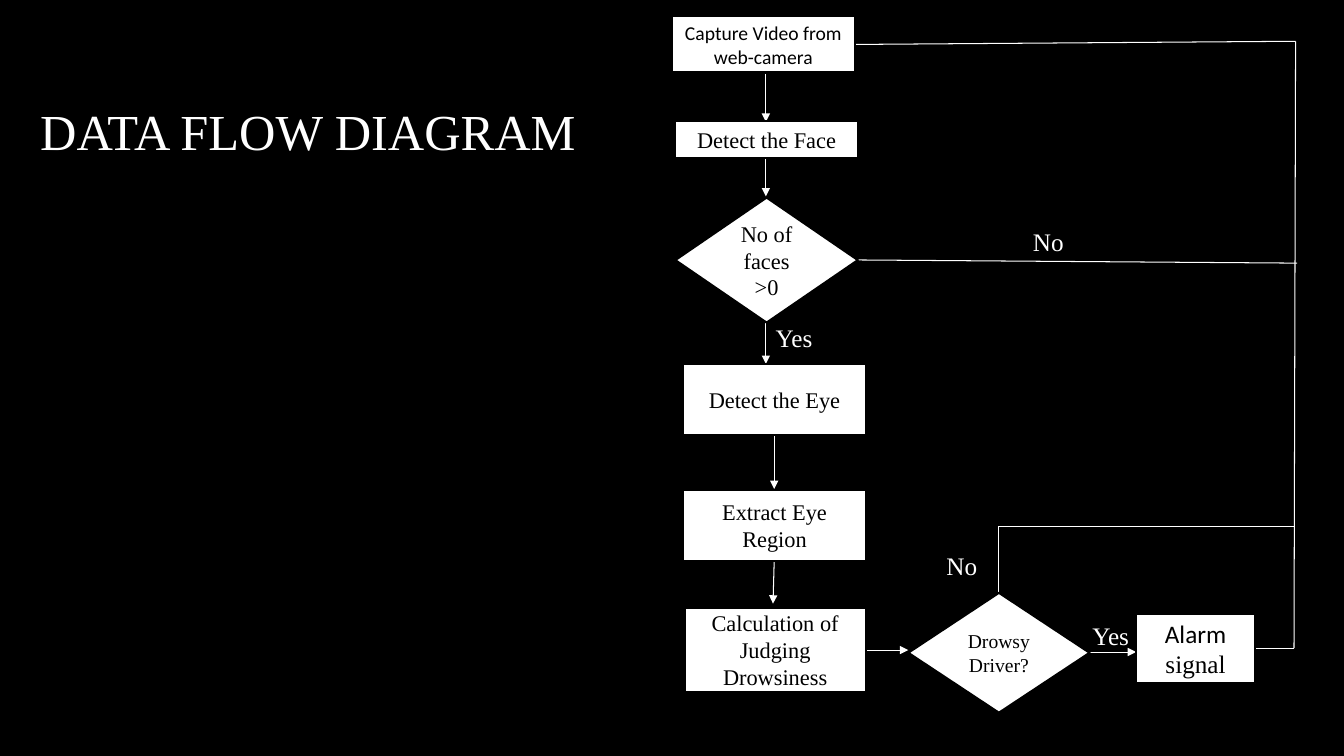
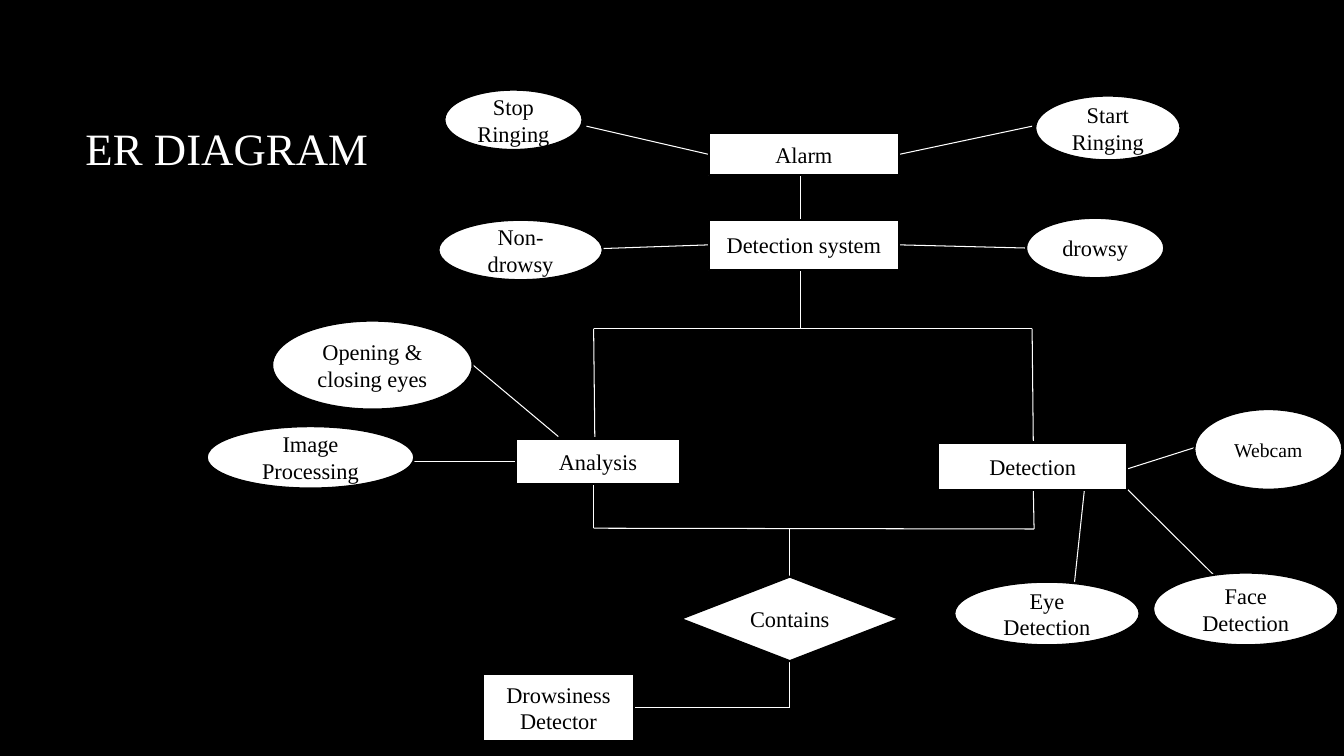
from itertools import pairwise

from lxml.etree import SubElement
from pptx import Presentation
from pptx.dml.color import RGBColor
from pptx.enum.shapes import MSO_CONNECTOR, MSO_SHAPE
from pptx.enum.text import MSO_ANCHOR, MSO_AUTO_SIZE, PP_ALIGN
from pptx.oxml.ns import qn
from pptx.util import Cm, Pt

RECTANGLE = MSO_SHAPE.RECTANGLE
DIAMOND = MSO_SHAPE.DIAMOND
DECISION = MSO_SHAPE.FLOWCHART_DECISION
ELLIPSE = MSO_SHAPE.OVAL

BLACK = "000000"
WHITE = "FFFFFF"
SERIF = "Times New Roman"
SANS = "Calibri"


def set_solid(fill, color):
    fill.solid()
    fill.fore_color.rgb = RGBColor.from_string(color)


def add_run(paragraph, text, *, size, color, font=SERIF):
    run = paragraph.add_run()
    run.text = text
    run.font.name = font
    run.font.size = Pt(size)
    set_solid(run.font.fill, color)


def write_text(frame, text, *, align=PP_ALIGN.LEFT, space_after=0, **run_format):
    """Fill a text frame, one paragraph for each line of the text."""
    frame.word_wrap = True
    frame.auto_size = MSO_AUTO_SIZE.NONE
    frame.vertical_anchor = MSO_ANCHOR.MIDDLE
    for index, line in enumerate(text.split("\n")):
        paragraph = frame.add_paragraph() if index else frame.paragraphs[0]
        paragraph.alignment = align
        paragraph.space_after = Pt(space_after)
        add_run(paragraph, line, **run_format)


class DiagramDeck:
    """White diagrams on black slides; positions and sizes are in centimetres."""

    def __init__(self):
        self.presentation = Presentation()
        self.presentation.slide_width = Cm(33.87)
        self.presentation.slide_height = Cm(19.05)
        set_solid(self.presentation.slide_master.background.fill, BLACK)
        self.slide = None

    def add_slide(self, title, left, top, size):
        title_only = self.presentation.slide_layouts[5]
        self.slide = self.presentation.slides.add_slide(title_only)
        shape = self.slide.shapes.title
        shape.left, shape.top = Cm(left), Cm(top)
        shape.width, shape.height = Cm(28.14), Cm(4.04)
        write_text(shape.text_frame, title, size=size, color=WHITE)

    def add_node(self, kind, text, left, top, width, height, size=16, font=SERIF):
        shape = self.slide.shapes.add_shape(
            kind, Cm(left), Cm(top), Cm(width), Cm(height))
        shape.shadow.inherit = False
        set_solid(shape.fill, WHITE)
        set_solid(shape.line.fill, BLACK)
        shape.line.width = Pt(1.5)
        write_text(shape.text_frame, text, align=PP_ALIGN.CENTER,
                   size=size, color=BLACK, font=font)
        return shape

    def add_label(self, text, left, top, width=2.62, height=1.6):
        box = self.slide.shapes.add_textbox(
            Cm(left), Cm(top), Cm(width), Cm(height))
        write_text(box.text_frame, text, space_after=10, size=18, color=WHITE)

    def add_lines(self, *points, arrow=False):
        """Join successive points with straight connectors."""
        for start, end in pairwise(points):
            connector = self.slide.shapes.add_connector(
                MSO_CONNECTOR.STRAIGHT, *map(Cm, start + end))
            set_solid(connector.line.fill, WHITE)
            connector.line.width = Pt(0.75)
            properties = connector._element.spPr
            if arrow:
                SubElement(properties.find(qn("a:ln")), qn("a:tailEnd"),
                           type="triangle")
            SubElement(properties, qn("a:effectLst"))


def build_data_flow(deck):
    deck.add_slide("DATA FLOW DIAGRAM", 0.76, 1.27, size=36)

    for start, end in (
        ((19.3, 1.85), (19.3, 3.07)),
        ((19.3, 3.84), (19.3, 4.95)),
        ((19.3, 8.13), (19.3, 9.17)),
        ((19.51, 10.97), (19.51, 12.32)),
        ((19.51, 14.15), (19.48, 15.21)),
        ((21.79, 16.38), (22.89, 16.38)),
        ((27.46, 16.43), (28.63, 16.43)),
    ):
        deck.add_lines(start, end, arrow=True)

    # Every branch returns to the camera along the right-hand side.
    deck.add_lines((31.65, 16.33), (32.61, 16.33), (32.65, 1.04), (21.51, 1.12))
    deck.add_lines((21.56, 6.55), (32.69, 6.63))
    deck.add_lines((25.17, 14.94), (25.17, 13.26), (32.61, 13.26))

    deck.add_node(RECTANGLE, "Capture Video from web-camera",
                  16.94, 0.41, 4.6, 1.42, size=14, font=SANS)
    for node in (
        (RECTANGLE, "Detect the Face", 17.02, 3.05, 4.6, 0.94),
        (DIAMOND, "No of faces\n>0", 17.02, 4.98, 4.6, 3.15),
        (RECTANGLE, "Detect the Eye", 17.22, 9.17, 4.6, 1.8),
        (RECTANGLE, "Extract Eye Region", 17.22, 12.34, 4.6, 1.8),
        (RECTANGLE, "Calculation of Judging Drowsiness", 17.25, 15.32, 4.57, 2.11),
        (DIAMOND, "Drowsy Driver?", 22.89, 14.94, 4.57, 3.02, 14),
    ):
        deck.add_node(*node)
    alarm = deck.add_node(RECTANGLE, "Alarm ", 28.63, 15.47, 3, 1.75,
                          size=18, font=SANS)
    add_run(alarm.text_frame.paragraphs[0], "signal", size=18, color=BLACK)

    deck.add_label("Yes", 27.28, 15.21)
    deck.add_label("No", 23.6, 13.44)
    deck.add_label("Yes", 19.3, 7.82, 2.24, 1.35)
    deck.add_label("No", 25.78, 5.28)


def build_entity_relations(deck):
    deck.add_slide("ER DIAGRAM", 1.9, 1.7, size=32)

    for points in (
        # Trunk and brackets between the entities
        ((20.17, 5.74), (20.17, 4.34)),
        ((20.17, 8.28), (20.17, 6.73)),
        ((14.99, 11.05), (14.96, 8.28), (26.01, 8.28), (26.04, 11.15)),
        ((14.96, 12.17), (14.96, 13.31), (26.06, 13.33), (26.04, 12.32)),
        ((19.89, 14.53), (19.89, 13.31)),
        ((15.98, 17.83), (19.89, 17.83), (19.89, 16.66)),
        # Entities to their attributes
        ((17.86, 3.89), (14.78, 3.18)),
        ((22.66, 3.89), (26.01, 3.18)),
        ((17.86, 6.17), (14.99, 6.27)),
        ((22.66, 6.17), (25.86, 6.25)),
        ((14.07, 11), (11.91, 9.19)),
        ((13, 11.63), (10.44, 11.63)),
        ((28.27, 11.86), (30.1, 11.28)),
        ((27.33, 12.32), (27.08, 14.66)),
        ((28.4, 12.32), (30.63, 14.53)),
    ):
        deck.add_lines(*points)

    for node in (
        (RECTANGLE, "Alarm", 17.86, 3.35, 4.8, 1.07),
        (RECTANGLE, "Detection system", 17.86, 5.54, 4.8, 1.27),
        (RECTANGLE, "Analysis", 13, 11.05, 4.14, 1.14),
        (RECTANGLE, "Detection", 23.65, 11.15, 4.75, 1.19),
        (DECISION, "Contains", 17.15, 14.53, 5.51, 2.13),
        (RECTANGLE, "Drowsiness Detector", 12.17, 16.99, 3.81, 1.68),
        (ELLIPSE, "Stop Ringing", 11.2, 2.26, 3.48, 1.52),
        (ELLIPSE, "Start Ringing", 26.09, 2.41, 3.66, 1.63),
        (ELLIPSE, "Non-drowsy", 11.05, 5.54, 4.14, 1.52),
        (ELLIPSE, "drowsy", 25.86, 5.49, 3.48, 1.52),
        (ELLIPSE, "Opening & closing eyes", 6.86, 8.08, 5.05, 2.24),
        (ELLIPSE, "Image Processing", 5.21, 10.74, 5.23, 1.57),
        (ELLIPSE, "Webcam", 30.1, 10.31, 3.73, 2.03, 14),
        (ELLIPSE, "Eye Detection", 24.05, 14.66, 4.67, 1.6),
        (ELLIPSE, "Face Detection", 29.06, 14.43, 4.67, 1.83),
    ):
        deck.add_node(*node)


def main():
    deck = DiagramDeck()
    build_data_flow(deck)
    build_entity_relations(deck)
    deck.presentation.save("out.pptx")


if __name__ == "__main__":
    main()
